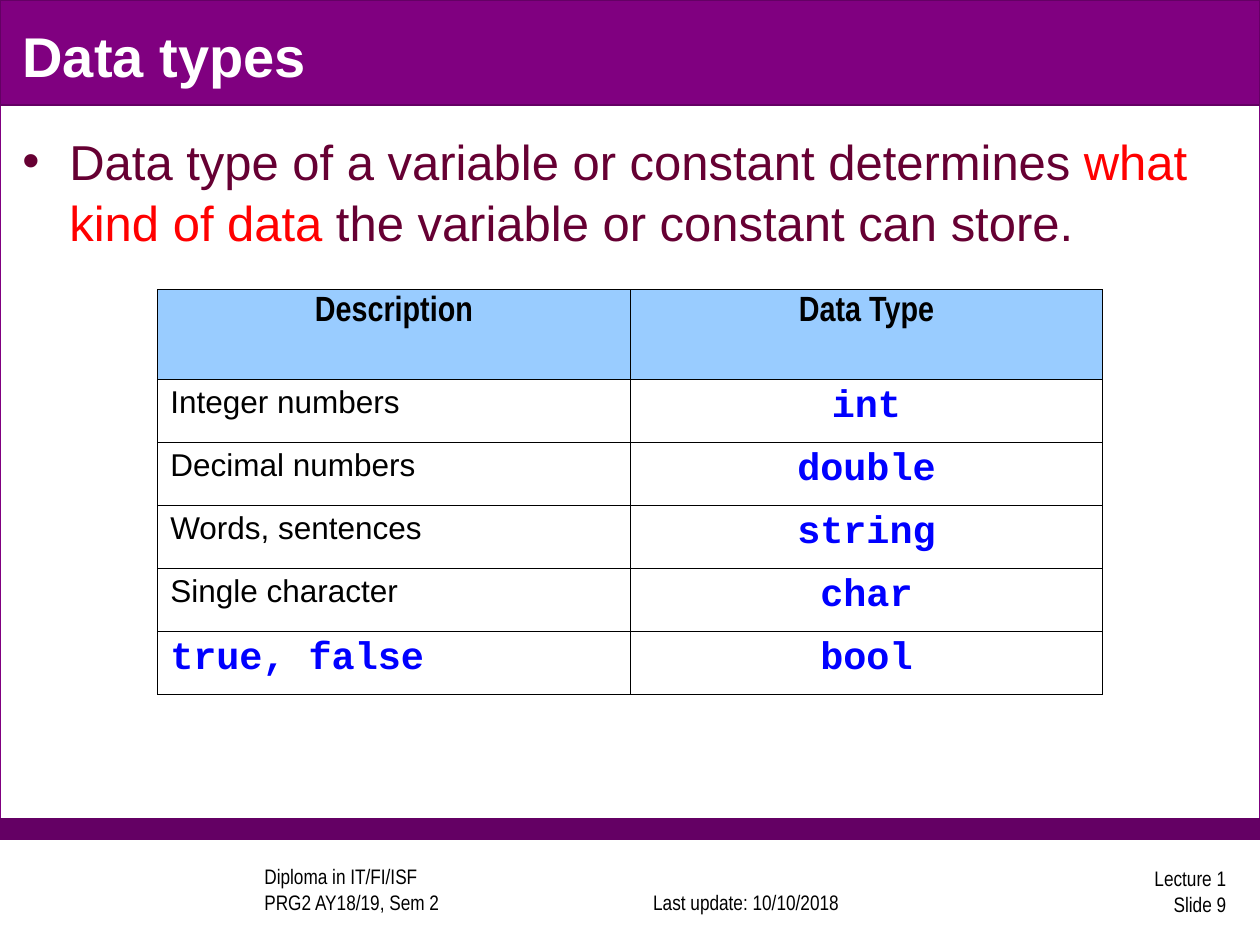
from dataclasses import dataclass
from typing import Optional

from lxml import etree
from pptx import Presentation
from pptx.dml.color import RGBColor
from pptx.enum import shapes, text
from pptx.oxml import ns
from pptx.util import Cm, Pt


@dataclass(frozen=True)
class Theme:
    white: str = "FFFFFF"
    black: str = "000000"
    purple: str = "800080"
    deep_purple: str = "640064"
    maroon: str = "660033"
    red: str = "FF0000"
    blue: str = "0000FF"
    header_blue: str = "99CCFF"
    sans: str = "Arial"
    narrow: str = "Arial Narrow"
    mono: str = "Courier New"
    title_size: float = 32
    body_size: float = 28
    header_size: float = 20
    label_size: float = 18
    code_size: float = 22
    footer_size: float = 12
    border_width: float = 0.45
    line_spacing: float = 1.05


THEME = Theme()


@dataclass(frozen=True)
class Style:
    font: str
    size: float
    color: str
    bold: bool = False


TITLE = Style(THEME.sans, THEME.title_size, THEME.white, True)
BODY = Style(THEME.sans, THEME.body_size, THEME.maroon)
EMPHASIS = Style(THEME.sans, THEME.body_size, THEME.red)
HEADER = Style(THEME.narrow, THEME.header_size, THEME.black, True)
LABEL = Style(THEME.sans, THEME.label_size, THEME.black)
CODE = Style(THEME.mono, THEME.code_size, THEME.blue, True)
FOOTER = Style(THEME.narrow, THEME.footer_size, THEME.black)


@dataclass(frozen=True)
class Box:
    left: float
    top: float
    width: float
    height: float

    def lengths(self) -> tuple:
        return Cm(self.left), Cm(self.top), Cm(self.width), Cm(self.height)


@dataclass(frozen=True)
class Band:
    box: Box
    fill: str
    line: str
    opacity: Optional[int] = None


@dataclass(frozen=True)
class Footer:
    box: Box
    lines: tuple
    align: text.PP_ALIGN
    anchor: text.MSO_ANCHOR
    indent: float = 0


@dataclass(frozen=True)
class TypeRow:
    description: str
    data_type: str
    style: Style = LABEL


BANDS = [
    Band(Box(0, 0, 25.4, 16.93), THEME.white, THEME.purple, 90),
    Band(Box(0, 16.51, 25.4, 0.42), THEME.deep_purple, THEME.deep_purple),
    Band(Box(0, 0, 25.4, 2.12), THEME.purple, THEME.deep_purple),
]
FOOTERS = [
    Footer(Box(3.81, 17.5, 8.05, 1.07), ("Diploma in IT/FI/ISF", "PRG2 AY18/19, Sem 2"),
           text.PP_ALIGN.LEFT, text.MSO_ANCHOR.BOTTOM, 1.27),
    Footer(Box(12.4, 17.5, 5.28, 1.07), ("Last update: 10/10/2018",),
           text.PP_ALIGN.CENTER, text.MSO_ANCHOR.BOTTOM),
    Footer(Box(19.69, 17.42, 5.28, 1.07), ("Lecture 1", "Slide 9"),
           text.PP_ALIGN.RIGHT, text.MSO_ANCHOR.MIDDLE),
]
ROWS = [
    TypeRow("Description", "Data Type", HEADER),
    TypeRow("Integer numbers", "int"),
    TypeRow("Decimal numbers", "double"),
    TypeRow("Words, sentences", "string"),
    TypeRow("Single character", "char"),
    TypeRow("true, false", "bool", CODE),
]


def add_run(paragraph, words: str, style: Style) -> None:
    run = paragraph.add_run()
    run.text = words
    run.font.name = style.font
    run.font.size = Pt(style.size)
    run.font.bold = style.bold
    run.font.color.rgb = RGBColor.from_string(style.color)


def draw_band(slide, band: Band) -> None:
    bar = slide.shapes.add_shape(shapes.MSO_SHAPE.RECTANGLE, *band.box.lengths())
    bar.shadow.inherit = False
    bar.fill.solid()
    bar.fill.fore_color.rgb = RGBColor.from_string(band.fill)
    bar.line.color.rgb = RGBColor.from_string(band.line)
    bar.line.width = Pt(0.75)
    if band.opacity is not None:
        color = bar.fill._xPr.find(".//" + ns.qn("a:srgbClr"))
        etree.SubElement(color, ns.qn("a:alpha"), val=str(band.opacity * 1000))


def add_frame(slide, box: Box, anchor: text.MSO_ANCHOR):
    frame = slide.shapes.add_textbox(*box.lengths()).text_frame
    frame.word_wrap = True
    frame.vertical_anchor = anchor
    return frame


def set_indent(paragraph, margin: float, first: float) -> None:
    properties = paragraph._p.get_or_add_pPr()
    properties.set("marL", str(Cm(margin)))
    properties.set("indent", str(Cm(first)))


def draw_footer(slide, footer: Footer) -> None:
    paragraph = add_frame(slide, footer.box, footer.anchor).paragraphs[0]
    paragraph.alignment = footer.align
    paragraph.line_spacing = THEME.line_spacing
    set_indent(paragraph, footer.indent, 0)
    for number, line in enumerate(footer.lines):
        if number:
            paragraph.add_line_break()
        add_run(paragraph, line, FOOTER)


def draw_title(slide) -> None:
    title = slide.shapes.title
    title.left, title.top, title.width, title.height = Box(0.2, 0.33, 24.97, 1.57).lengths()
    title.element.getparent().append(title.element)
    title.text_frame.vertical_anchor = text.MSO_ANCHOR.MIDDLE
    paragraph = title.text_frame.paragraphs[0]
    paragraph.alignment = text.PP_ALIGN.LEFT
    add_run(paragraph, "Data types", TITLE)


def draw_statement(slide) -> None:
    frame = add_frame(slide, Box(0.2, 2.46, 24.97, 13.84), text.MSO_ANCHOR.TOP)
    paragraph = frame.paragraphs[0]
    paragraph.line_spacing = THEME.line_spacing
    set_indent(paragraph, 0.95, -0.95)
    etree.SubElement(paragraph._p.pPr, ns.qn("a:buFont"), typeface=THEME.sans)
    etree.SubElement(paragraph._p.pPr, ns.qn("a:buChar"), char="•")
    add_run(paragraph, "Data type of a variable or constant determines ", BODY)
    add_run(paragraph, "what kind of data ", EMPHASIS)
    add_run(paragraph, "the variable or constant can store.", BODY)


def fill_cell(cell, words: str, style: Style, centred: bool, header: bool) -> None:
    properties = cell._tc.get_or_add_tcPr()
    for side in ("lnL", "lnR", "lnT", "lnB"):
        border = etree.SubElement(properties, ns.qn("a:" + side), w=str(Pt(THEME.border_width)))
        paint = etree.SubElement(border, ns.qn("a:solidFill"))
        etree.SubElement(paint, ns.qn("a:srgbClr"), val=THEME.black)
    if header:
        cell.fill.solid()
        cell.fill.fore_color.rgb = RGBColor.from_string(THEME.header_blue)
    else:
        cell.fill.background()
    paragraph = cell.text_frame.paragraphs[0]
    paragraph.alignment = text.PP_ALIGN.CENTER if centred else text.PP_ALIGN.LEFT
    add_run(paragraph, words, style)


def draw_types(slide) -> None:
    box = Box(3.18, 5.84, 19.05, 8.15)
    types = slide.shapes.add_table(len(ROWS), 2, *box.lengths()).table
    types.first_row = types.horz_banding = False
    for number, row in enumerate(ROWS):
        header = number == 0
        types.rows[number].height = Cm(1.8 if header else 1.27)
        fill_cell(types.cell(number, 0), row.description, row.style, header, header)
        fill_cell(types.cell(number, 1), row.data_type, HEADER if header else CODE, True, header)


def main() -> None:
    deck = Presentation()
    deck.slide_width, deck.slide_height = Cm(25.4), Cm(19.05)
    slide = deck.slides.add_slide(deck.slide_layouts[5])
    for band in BANDS:
        draw_band(slide, band)
    for footer in FOOTERS:
        draw_footer(slide, footer)
    draw_title(slide)
    draw_statement(slide)
    draw_types(slide)
    deck.save("out.pptx")


if __name__ == "__main__":
    main()
